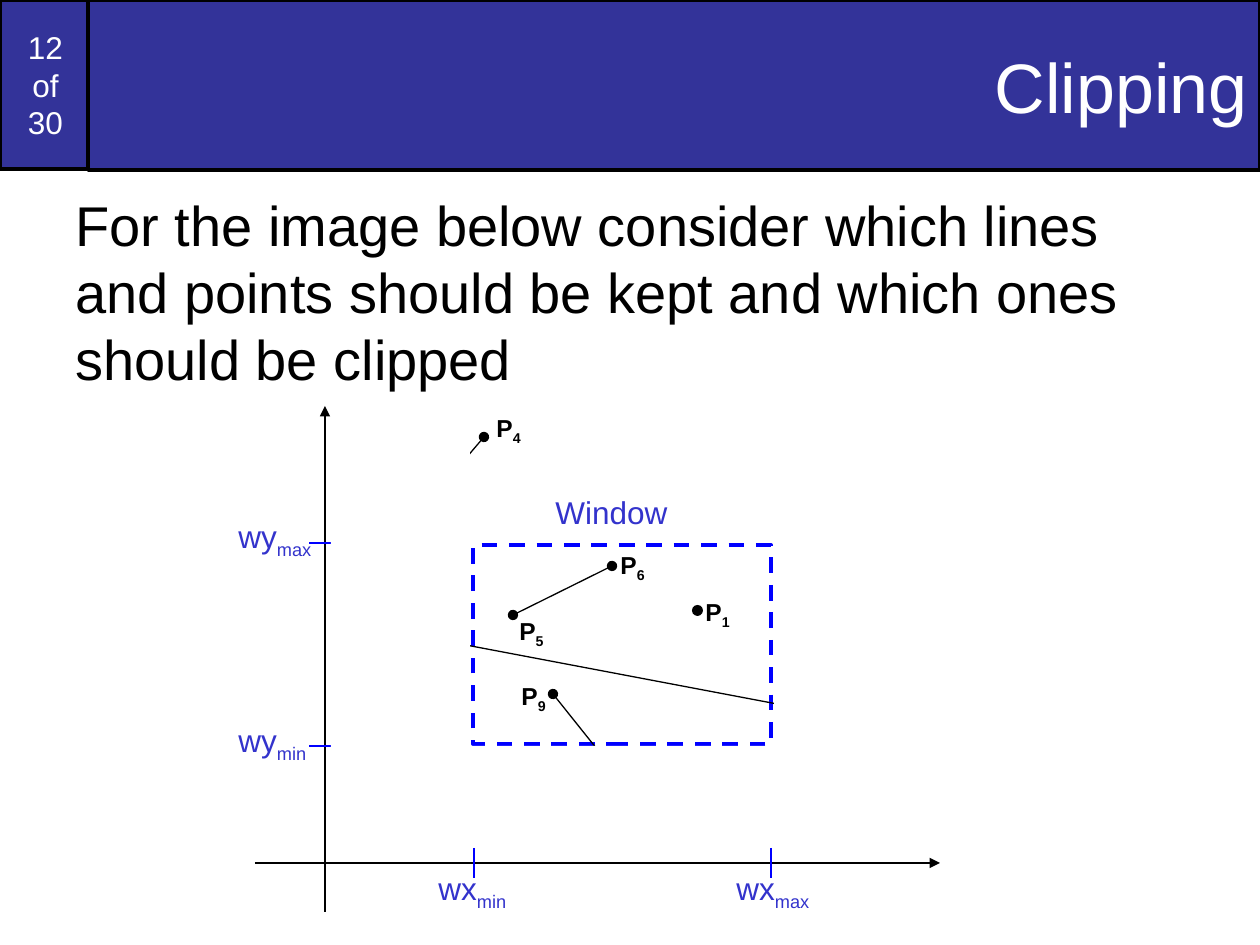
"""Build the Clipping slide: a window, its axes, and points and lines to clip."""
import pptx
import pptx.dml.color
import pptx.enum.dml
import pptx.enum.shapes
import pptx.enum.text
import pptx.oxml.ns
import pptx.util
from lxml import etree

SCALE = 914400 / 126
FONT = "Arial"
COLORS = {"banner": "333399", "label": "3333CC", "window": "0000FF",
          "ink": "000000", "paper": "FFFFFF"}

PAGE_NUMBER = "12\nof\n30"
TITLE = "Clipping"
QUESTION = ("For the image below consider which lines and points should be "
            "kept and which ones should be clipped")

AXES = [(255, 863, 940, 863), (325, 912, 325, 406)]
TICKS = [(343, 543, 309, 543), (339, 746, 309, 746),
         (474, 848, 474, 878), (771, 848, 771, 878)]
SEGMENTS = [(513, 615, 612, 566), (374, 566, 484, 437),
            (553, 694, 633, 794), (413, 635, 830, 714)]
WINDOW = (473, 545, 298, 199)
POINT = (692, 605, 11, 11)
OUTSIDE = [(464, 746, 328, 87), (331, 440, 139, 382), (774, 433, 195, 382)]

WINDOW_LABELS = [("wy", "max", (226, 511, 100, 55)),
                 ("wy", "min", (226, 715, 95, 55)),
                 ("wx", "min", (426, 863, 95, 55)),
                 ("wx", "max", (724, 863, 100, 55)),
                 ("Window", "", (543, 487, 139, 50))]
POINT_LABELS = [("1", 693, 591), ("6", 608, 544), ("5", 507, 610),
                ("9", 509, 675), ("4", 484, 407)]
POINT_LABEL_SIZE = (54, 47)

ALIGN = pptx.enum.text.PP_ALIGN
SHAPES = pptx.enum.shapes.MSO_SHAPE


def px(*lengths):
    return [round(length * SCALE) for length in lengths]


def rgb(name):
    return pptx.dml.color.RGBColor.from_string(COLORS[name])


def style(paragraph, size, color, bold=False):
    paragraph.font.name = FONT
    paragraph.font.size = pptx.util.Pt(size)
    paragraph.font.bold = bold
    paragraph.font.color.rgb = rgb(color)


def add_block(slide, box, fill=None, line=None, width=2, kind=SHAPES.RECTANGLE):
    block = slide.shapes.add_shape(kind, *px(*box))
    block.shadow.inherit = False
    if fill:
        block.fill.solid()
        block.fill.fore_color.rgb = rgb(fill)
    else:
        block.fill.background()
    if line:
        block.line.color.rgb = rgb(line)
        block.line.width = pptx.util.Pt(width)
    else:
        block.line.fill.background()
    return block


def add_banner(slide, box, text, size, align):
    frame = add_block(slide, box, "banner", "ink").text_frame
    frame.word_wrap = True
    frame.vertical_anchor = pptx.enum.text.MSO_ANCHOR.MIDDLE
    paragraph = frame.paragraphs[0]
    paragraph.text = text
    paragraph.alignment = align
    style(paragraph, size, "paper")


def add_line(slide, ends, color="ink", head=None, tail=None):
    line = slide.shapes.add_connector(
        pptx.enum.shapes.MSO_CONNECTOR.STRAIGHT, *px(*ends))
    line.line.color.rgb = rgb(color)
    line.line.width = pptx.util.Pt(0.75)
    properties = line.line._get_or_add_ln()
    for tag, end in (("a:headEnd", head), ("a:tailEnd", tail)):
        if end:
            etree.SubElement(properties, pptx.oxml.ns.qn(tag), type=end)
    etree.SubElement(line._element.spPr, pptx.oxml.ns.qn("a:effectLst"))


def add_label(slide, base, subscript, box, size, color, bold=False):
    frame = slide.shapes.add_textbox(*px(*box)).text_frame
    frame.word_wrap = False
    paragraph = frame.paragraphs[0]
    paragraph.add_run().text = base
    if subscript:
        lowered = paragraph.add_run()
        lowered.text = subscript
        lowered._r.get_or_add_rPr().set("baseline", "-25000")
    style(paragraph, size, color, bold)


def add_question(slide):
    frame = slide.shapes.add_textbox(*px(63, 184, 1134, 248)).text_frame
    frame.word_wrap = True
    paragraph = frame.paragraphs[0]
    paragraph.text = QUESTION
    style(paragraph, 32, "ink")


def main():
    deck = pptx.Presentation()
    deck.slide_width, deck.slide_height = px(1260, 945)
    slide = deck.slides.add_slide(deck.slide_layouts[6])

    add_banner(slide, (0, 0, 91, 169), PAGE_NUMBER, 18, ALIGN.CENTER)
    add_banner(slide, (88, 0, 1172, 170), TITLE, 40, ALIGN.RIGHT)
    add_question(slide)

    for axis in AXES:
        add_line(slide, axis, tail="triangle")
    window = add_block(slide, WINDOW, line="window", width=2.25)
    window.line.dash_style = pptx.enum.dml.MSO_LINE.DASH
    for tick in TICKS:
        add_line(slide, tick, "window")
    for base, subscript, box in WINDOW_LABELS:
        add_label(slide, base, subscript, box, 18, "label")

    add_block(slide, POINT, "ink", kind=SHAPES.OVAL)
    for segment in SEGMENTS:
        add_line(slide, segment, head="oval", tail="oval")
    for number, left, top in POINT_LABELS:
        add_label(slide, "P", number, (left, top, *POINT_LABEL_SIZE), 14, "ink", True)
    for area in OUTSIDE:
        add_block(slide, area, "paper")

    deck.save("out.pptx")


if __name__ == "__main__":
    main()
